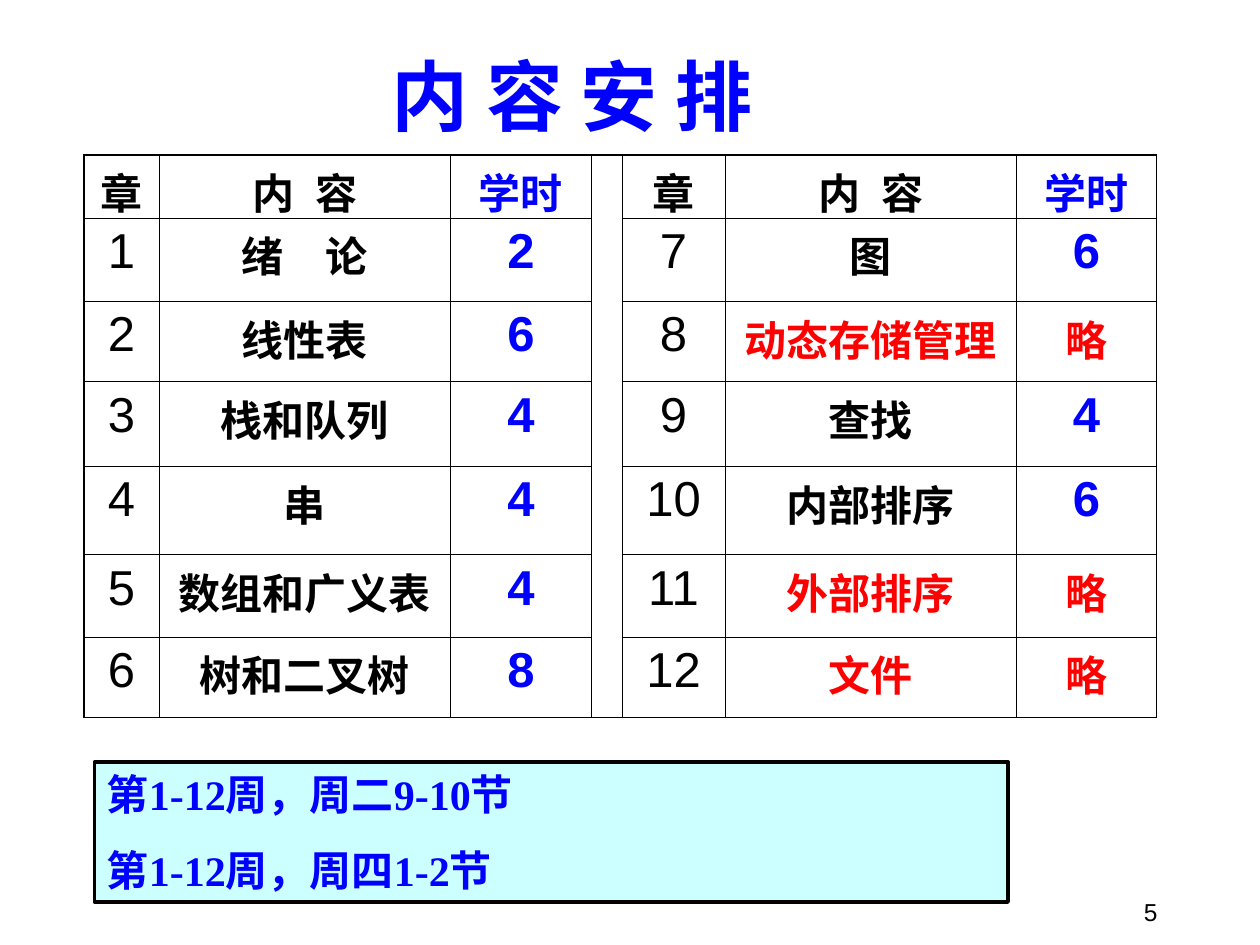
from lxml import etree
from pptx import Presentation
from pptx.dml.color import RGBColor
from pptx.enum.shapes import MSO_SHAPE
from pptx.enum.text import MSO_ANCHOR, PP_ALIGN
from pptx.oxml.ns import qn
from pptx.util import Pt

BLACK = RGBColor(0, 0, 0)
BLUE = RGBColor(0, 0, 255)
RED = RGBColor(255, 0, 0)
PALE_CYAN = RGBColor(0xCC, 0xFF, 0xFF)

LEFT, CENTER, RIGHT = PP_ALIGN.LEFT, PP_ALIGN.CENTER, PP_ALIGN.RIGHT
TOP, MIDDLE, BOTTOM = MSO_ANCHOR.TOP, MSO_ANCHOR.MIDDLE, MSO_ANCHOR.BOTTOM
RECTANGLE = MSO_SHAPE.RECTANGLE

COLUMN_WIDTHS = [43, 166.5, 80.5, 17.5, 59, 166.5, 80]
ROW_HEIGHTS = [36, 47.5, 46, 48.5, 50.5, 47, 46]
GAP_COLUMN = 3
OMITTED = "略"
HEADINGS = ["章", "内\u2002容", "学时"]
CHAPTERS = [
    ("绪　论", "2"), ("线性表", "6"), ("栈和队列", "4"),
    ("串", "4"), ("数组和广义表", "4"), ("树和二叉树", "8"),
    ("图", "6"), ("动态存储管理", OMITTED), ("查找", "4"),
    ("内部排序", "6"), ("外部排序", OMITTED), ("文件", OMITTED),
]
SCHEDULE = ["第1-12周，周二9-10节", "第1-12周，周四1-2节"]


def write_text(text_frame, text, size=24, font="Arial", color=BLACK, bold=True,
               align=CENTER, space_before=0):
    """Fill a text frame, one paragraph for each line of the text."""
    for index, line in enumerate(text.split("\n")):
        paragraph = text_frame.add_paragraph() if index else text_frame.paragraphs[0]
        paragraph.alignment = align
        paragraph.space_before = Pt(space_before)
        run = paragraph.add_run()
        run.text = line
        run.font.size = Pt(size)
        run.font.name = font
        run.font.bold = bold
        run.font.color.rgb = color


def add_label(slide, left, top, width, height, text, anchor, **text_format):
    box = slide.shapes.add_textbox(Pt(left), Pt(top), Pt(width), Pt(height))
    box.text_frame.word_wrap = True
    box.text_frame.vertical_anchor = anchor
    write_text(box.text_frame, text, **text_format)


def add_panel(slide, left, top, width, height, text, **text_format):
    panel = slide.shapes.add_shape(RECTANGLE, Pt(left), Pt(top), Pt(width), Pt(height))
    panel.shadow.inherit = False
    panel.fill.solid()
    panel.fill.fore_color.rgb = PALE_CYAN
    panel.line.color.rgb = BLACK
    panel.line.width = Pt(2)
    panel.text_frame.word_wrap = True
    panel.text_frame.vertical_anchor = TOP
    write_text(panel.text_frame, text, **text_format)


def set_borders(cell, outer_sides):
    """Draw thin borders, and thicker ones on the table's outer sides."""
    properties = cell._tc.get_or_add_tcPr()
    for index, side in enumerate(["lnL", "lnR", "lnT", "lnB"]):
        width = Pt(1.08 if side in outer_sides else 0.45)
        line = etree.Element(qn(f"a:{side}"), w=str(width))
        fill = etree.SubElement(line, qn("a:solidFill"))
        etree.SubElement(fill, qn("a:srgbClr"), val=str(BLACK))
        properties.insert(index, line)


def write_chapter(table, row, first_column, number, title, hours):
    """Write a chapter's number, title and hours; omitted chapters are red."""
    omitted = hours == OMITTED
    digits = {"size": 28, "space_before": 7}
    words = {"color": RED if omitted else BLACK, "space_before": 6}
    entries = [
        (str(number), {**digits, "bold": False}),
        (title, words),
        (hours, words if omitted else {**digits, "color": BLUE}),
    ]
    for offset, (text, text_format) in enumerate(entries):
        write_text(table.cell(row, first_column + offset).text_frame, text, **text_format)


def add_chapter_table(slide, left, top):
    row_count, column_count = len(ROW_HEIGHTS), len(COLUMN_WIDTHS)
    table = slide.shapes.add_table(
        row_count, column_count, Pt(left), Pt(top),
        Pt(sum(COLUMN_WIDTHS)), Pt(sum(ROW_HEIGHTS))).table
    table.first_row = False
    table.horz_banding = False
    for column, width in zip(table.columns, COLUMN_WIDTHS):
        column.width = Pt(width)
    for row, height in zip(table.rows, ROW_HEIGHTS):
        row.height = Pt(height)

    # Cell fills and borders
    for row in range(row_count):
        for column in range(column_count):
            cell = table.cell(row, column)
            cell.fill.background()
            edges = {"lnL": column == 0, "lnR": column == column_count - 1,
                     "lnT": row == 0, "lnB": row == row_count - 1}
            if column == GAP_COLUMN:
                edges["lnB"] = True
            set_borders(cell, [side for side, is_outer in edges.items() if is_outer])
    table.cell(0, GAP_COLUMN).merge(table.cell(row_count - 1, GAP_COLUMN))

    # Headings of both halves
    for first_column in (0, GAP_COLUMN + 1):
        for offset, heading in enumerate(HEADINGS):
            write_text(table.cell(0, first_column + offset).text_frame, heading,
                       color=BLUE if offset == 2 else BLACK, space_before=6)

    # Chapters, half of them on each side of the gap
    for index, (title, hours) in enumerate(CHAPTERS):
        half, row = divmod(index, row_count - 1)
        write_chapter(table, row + 1, half * (GAP_COLUMN + 1), index + 1, title, hours)


def main():
    presentation = Presentation()
    presentation.slide_width = Pt(720)
    presentation.slide_height = Pt(540)
    slide = presentation.slides.add_slide(presentation.slide_layouts[6])

    # Page number and title
    add_label(slide, 518.5, 497, 150, 36, "5", BOTTOM,
              size=14, bold=False, align=RIGHT)
    add_label(slide, 186, 24, 282, 60, "内 容 安 排", MIDDLE,
              size=44, font="Montserrat", color=BLUE)

    # Chapters with their hours
    add_chapter_table(slide, 48, 88.5)

    # Weekly schedule
    add_panel(slide, 54, 435.5, 522, 80, "\n".join(SCHEDULE),
              font="Times New Roman", color=BLUE, align=LEFT, space_before=15)

    presentation.save("out.pptx")


if __name__ == "__main__":
    main()
